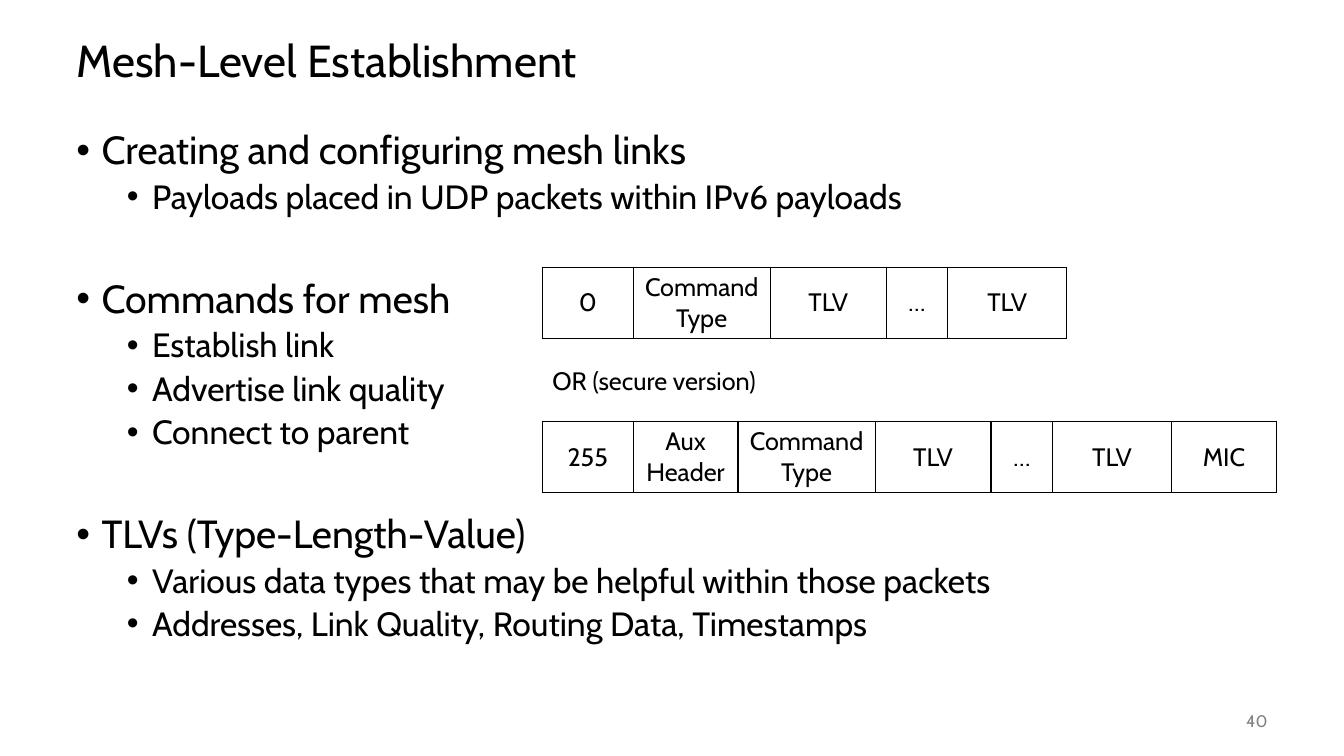
from lxml import etree
from pptx import Presentation
from pptx.dml.color import RGBColor
from pptx.enum.text import MSO_ANCHOR, PP_ALIGN
from pptx.oxml.ns import qn
from pptx.util import Inches, Pt

MIDDLE, TOP = MSO_ANCHOR.MIDDLE, MSO_ANCHOR.TOP
LEFT, CENTER, RIGHT = PP_ALIGN.LEFT, PP_ALIGN.CENTER, PP_ALIGN.RIGHT
WIDTH, HEIGHT = 13.33, 7.5
MARGIN = 0.66
CONTENT_WIDTH = 12
PACKET_LEFT = 5.38
ROW_HEIGHT = 0.71
BLACK, GRAY = "000000", "808080"


def style(para, size, color=BLACK, align=LEFT):
    para.alignment = align
    for span in para.runs:
        span.font.name = "Cabin"
        span.font.size = Pt(size)
        span.font.color.rgb = RGBColor.from_string(color)


def add_text(left, top, width, height, text, anchor):
    box = page.shapes.add_textbox(Inches(left), Inches(top), Inches(width), Inches(height))
    box.text_frame.word_wrap = True
    box.text_frame.vertical_anchor = anchor
    box.text_frame.text = text
    return box.text_frame


deck = Presentation()
deck.slide_width, deck.slide_height = Inches(WIDTH), Inches(HEIGHT)
page = deck.slides.add_slide(deck.slide_layouts[6])

# Title
title = add_text(MARGIN, 0.25, CONTENT_WIDTH, 0.75, "Mesh-Level Establishment", MIDDLE)
title.paragraphs[0].line_spacing = 0.9
style(title.paragraphs[0], 32)

# Bulleted outline: each topic with its points
outline = [
    ("Creating and configuring mesh links",
     ["Payloads placed in UDP packets within IPv6 payloads"]),
    ("Commands for mesh",
     ["Establish link", "Advertise link quality", "Connect to parent"]),
    ("TLVs (Type-Length-Value)",
     ["Various data types that may be helpful within those packets",
      "Addresses, Link Quality, Routing Data, Timestamps"]),
]
lines = []
for topic, points in outline:
    lines.append((topic, 0, 28, 0.25, 45))
    lines += [(point, 1, 24, 0.75, 5) for point in points]

body = add_text(MARGIN, 1.25, CONTENT_WIDTH, 5.5, "\n".join(line[0] for line in lines), TOP)
for index, (para, line) in enumerate(zip(body.paragraphs, lines)):
    text, level, size, indent, space_before = line
    para.level = level
    para.line_spacing = 0.9
    para.space_before = Pt(space_before if index else 0)
    properties = para._p.get_or_add_pPr()
    properties.set("marL", str(Inches(indent)))
    properties.set("indent", str(-Inches(0.25)))
    etree.SubElement(properties, qn("a:buFont")).set("typeface", "Arial")
    etree.SubElement(properties, qn("a:buChar")).set("char", "•")
    style(para, size)

# Packet layouts: plain and secure
field_widths = {"0": 0.9, "255": 0.9, "Aux Header": 1.04, "Command Type": 1.36,
                "TLV": 1.15, "…": 0.61, "TLV last": 1.18, "MIC": 1.04}
packets = [
    (2.65, ["0", "Command Type", "TLV", "…", "TLV last"]),
    (4.18, ["255", "Aux Header", "Command Type", "TLV", "…", "TLV last", "MIC"]),
]
for top, fields in packets:
    widths = [field_widths[field] for field in fields]
    table = page.shapes.add_table(1, len(fields), Inches(PACKET_LEFT), Inches(top),
                                  Inches(sum(widths)), Inches(ROW_HEIGHT)).table
    table.first_row = table.horz_banding = False
    table.rows[0].height = Inches(ROW_HEIGHT)
    for column, (field, width) in enumerate(zip(fields, widths)):
        table.columns[column].width = Inches(width)
        cell = table.cell(0, column)
        cell.text_frame.text = field.removesuffix(" last")
        cell.vertical_anchor = MIDDLE
        cell.fill.background()
        style(cell.text_frame.paragraphs[0], 18, align=CENTER)
        for position, side in enumerate(("a:lnL", "a:lnR", "a:lnT", "a:lnB")):
            border = etree.Element(qn(side), w=str(Pt(1)))
            fill = etree.SubElement(border, qn("a:solidFill"))
            etree.SubElement(fill, qn("a:srgbClr"), val=BLACK)
            cell._tc.get_or_add_tcPr().insert(position, border)

# Label between the packets
label = add_text(PACKET_LEFT, 3.58, 2.4, 0.4, "OR (secure version)", TOP)
style(label.paragraphs[0], 18)

# Page number
number = add_text(11.67, 6.95, 1, 0.4, "40", MIDDLE)
style(number.paragraphs[0], 12, GRAY, RIGHT)

deck.save("out.pptx")
